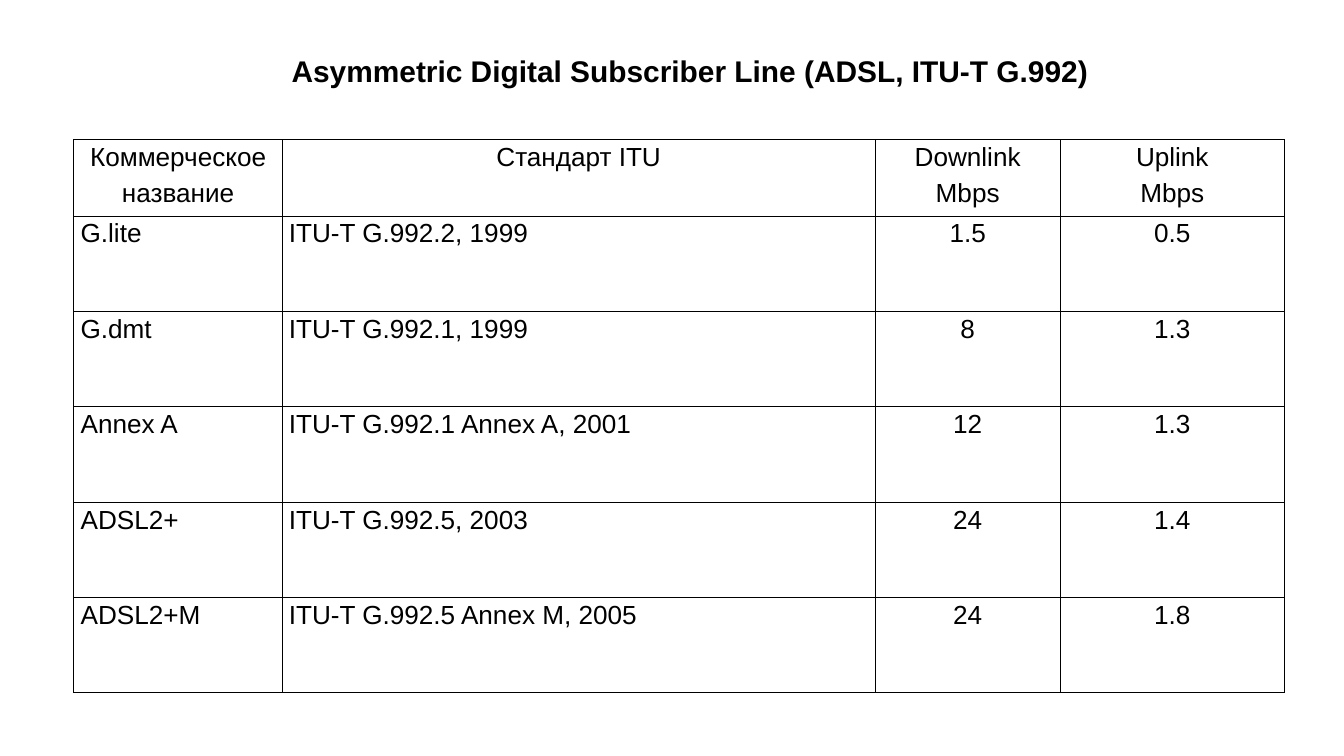
from dataclasses import dataclass

from lxml import etree
from pptx import Presentation
from pptx.dml.color import RGBColor
from pptx.enum.text import MSO_ANCHOR, MSO_AUTO_SIZE, PP_ALIGN
from pptx.oxml.ns import qn
from pptx.util import Emu, Pt

PX = 9144  # EMU; 100 px to the inch
FONT = "Arial"
COLORS = {"text": "000000", "border": "000000", "background": "FFFFFF"}
LEFT, CENTER = PP_ALIGN.LEFT, PP_ALIGN.CENTER
TOP = MSO_ANCHOR.TOP
FIT_SHAPE = MSO_AUTO_SIZE.SHAPE_TO_FIT_TEXT
INNER_BORDER, OUTER_BORDER = Pt(0.45), Pt(1.08)
HEADER_HEIGHT, BODY_HEIGHT = 113, 142


@dataclass(frozen=True)
class Column:
    heading: tuple[str, ...]
    width: int
    align: PP_ALIGN


@dataclass(frozen=True)
class Service:
    name: str
    standard: str
    downlink: str
    uplink: str

    def values(self) -> tuple[str, ...]:
        return self.name, self.standard, self.downlink, self.uplink


COLUMNS = (
    Column(("Коммерческое", "название"), 310, LEFT),
    Column(("Стандарт ITU",), 882, LEFT),
    Column(("Downlink", "Mbps"), 276, CENTER),
    Column(("Uplink", "Mbps"), 333, CENTER),
)
SERVICES = (
    Service("G.lite", "ITU-T G.992.2, 1999", "1.5", "0.5"),
    Service("G.dmt", "ITU-T G.992.1, 1999", "8", "1.3"),
    Service("Annex A", "ITU-T G.992.1 Annex A, 2001", "12", "1.3"),
    Service("ADSL2+", "ITU-T G.992.5, 2003", "24", "1.4"),
    Service("ADSL2+M", "ITU-T G.992.5 Annex M, 2005", "24", "1.8"),
)


def px(length: int) -> Emu:
    return Emu(length * PX)


def write(frame, lines: tuple[str, ...], size: int, align: PP_ALIGN, bold: bool = False) -> None:
    for index, line in enumerate(lines):
        paragraph = frame.add_paragraph() if index else frame.paragraphs[0]
        paragraph.alignment = align
        paragraph.space_before = Pt(7 if index else 0)
        run = paragraph.add_run()
        run.text = line
        run.font.name = FONT
        run.font.size = Pt(size)
        run.font.bold = bold
        run.font.color.rgb = RGBColor.from_string(COLORS["text"])


def set_borders(cell, outer_sides: dict[str, bool]) -> None:
    """Draw each side of the cell, heavier where it lies on the table's edge."""
    properties = cell._tc.get_or_add_tcPr()
    for side, is_outer in outer_sides.items():
        width = OUTER_BORDER if is_outer else INNER_BORDER
        line = etree.SubElement(properties, qn(f"a:ln{side}"), w=str(width))
        fill = etree.SubElement(line, qn("a:solidFill"))
        etree.SubElement(fill, qn("a:srgbClr"), val=COLORS["border"])


def add_title(slide, title: str) -> None:
    box = slide.shapes.add_textbox(px(424), px(74), px(1207), px(64))
    box.text_frame.word_wrap = False
    box.text_frame.auto_size = FIT_SHAPE
    write(box.text_frame, (title,), 32, LEFT, bold=True)


def add_services_table(slide, left: int, top: int) -> None:
    heights = [HEADER_HEIGHT] + [BODY_HEIGHT] * len(SERVICES)
    width = sum(column.width for column in COLUMNS)
    table = slide.shapes.add_table(
        len(heights), len(COLUMNS), px(left), px(top), px(width), px(sum(heights))
    ).table
    table.first_row = False
    table.horz_banding = False
    for column, table_column in zip(COLUMNS, table.columns):
        table_column.width = px(column.width)

    headings = [column.heading for column in COLUMNS]
    body = [[(value,) for value in service.values()] for service in SERVICES]
    last_row, last_column = len(SERVICES), len(COLUMNS) - 1
    for r, row in enumerate([headings, *body]):
        table.rows[r].height = px(heights[r])
        for c, lines in enumerate(row):
            cell = table.cell(r, c)
            cell.vertical_anchor = TOP
            cell.margin_left = cell.margin_right = px(10)
            cell.margin_top = cell.margin_bottom = px(5)
            set_borders(cell, {"L": c == 0, "R": c == last_column, "T": r == 0, "B": r == last_row})
            cell.fill.background()
            write(cell.text_frame, lines, 28, COLUMNS[c].align if r else CENTER)


def main() -> None:
    presentation = Presentation()
    presentation.slide_width, presentation.slide_height = px(2000), px(1125)
    slide = presentation.slides.add_slide(presentation.slide_layouts[6])
    slide.background.fill.solid()
    slide.background.fill.fore_color.rgb = RGBColor.from_string(COLORS["background"])
    add_title(slide, "Asymmetric Digital Subscriber Line (ADSL, ITU-T G.992)")
    add_services_table(slide, 110, 208)
    presentation.save("out.pptx")


if __name__ == "__main__":
    main()
